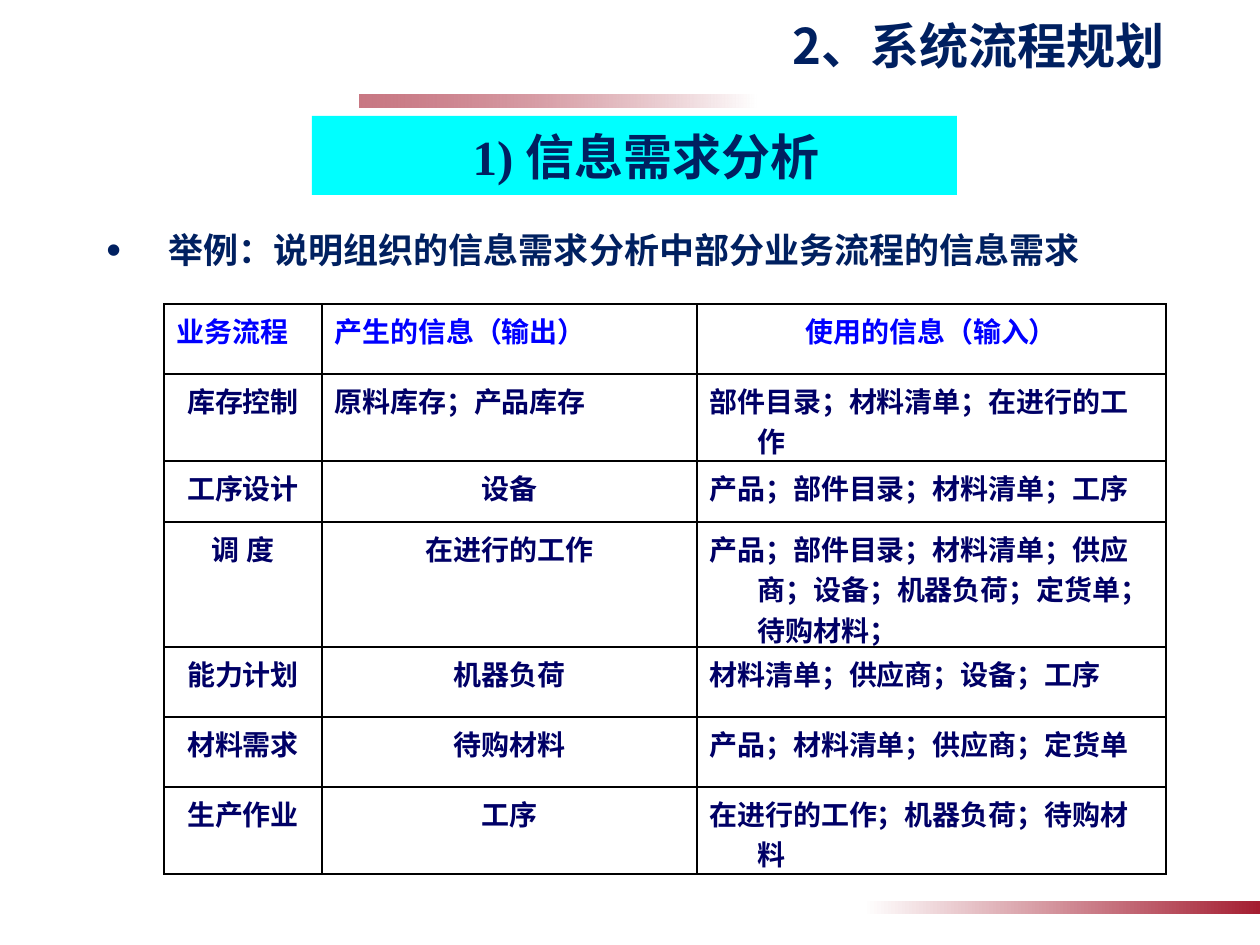
from lxml.etree import SubElement
from pptx import Presentation
from pptx.dml.color import RGBColor
from pptx.enum.shapes import MSO_SHAPE
from pptx.enum.text import MSO_ANCHOR, PP_ALIGN
from pptx.oxml.ns import qn
from pptx.util import Pt

SCALE = 914400 / 126
SANS = "Noto Sans CJK SC"
SERIF = "Times New Roman"
LEFT, CENTER, RIGHT = PP_ALIGN.LEFT, PP_ALIGN.CENTER, PP_ALIGN.RIGHT


def px(*lengths):
    return [round(length * SCALE) for length in lengths]


def write(frame, text, size, color, font, align, indent=0, bullet=None):
    frame.word_wrap = True
    paragraph = frame.paragraphs[0]
    paragraph.text = text
    paragraph.alignment = align
    properties = paragraph._p.get_or_add_pPr()
    properties.set("marL", str(px(indent)[0]))
    properties.set("indent", str(px(-indent)[0]))
    if bullet:
        SubElement(properties, qn("a:buSzPct"), val="120000")
        SubElement(properties, qn("a:buFont"), typeface="Arial")
        SubElement(properties, qn("a:buChar"), char=bullet)
    run = paragraph.runs[0]
    values = {"size": Pt(size), "bold": True, "name": font}
    for name, value in values.items():
        setattr(run.font, name, value)
    run.font.color.rgb = RGBColor.from_string(color)
    SubElement(run._r.get_or_add_rPr(), qn("a:ea"), typeface=SANS)
    return paragraph


presentation = Presentation()
presentation.slide_width, presentation.slide_height = px(1260, 945)
slide = presentation.slides.add_slide(presentation.slide_layouts[5])
shapes = slide.shapes

for left, top, rotation, alpha in [(359, 94, 180, 60), (863, 901, 0, 100)]:
    bar = shapes.add_shape(MSO_SHAPE.RECTANGLE, *px(left, top, 397, 13))
    bar.shadow.inherit = False
    bar.rotation = rotation
    bar.line.fill.background()
    bar.fill.gradient()
    bar.fill.gradient_angle = 0
    for stop, color in zip(bar.fill.gradient_stops, ["FFFFFF", "A41E31"]):
        stop.color.rgb = RGBColor.from_string(color)
    if alpha < 100:
        red = bar._element.spPr.findall(".//" + qn("a:srgbClr"))[-1]
        SubElement(red, qn("a:alpha"), val=str(alpha * 1000))

example = shapes.add_textbox(*px(94, 214, 1071, 79))
paragraph = write(example.text_frame, "举例：说明组织的信息需求分析中部分业务流程的信息需求",
                  20, "002060", SERIF, LEFT, 62, "•")
paragraph.line_spacing = 1.2

rows = [
    ["业务流程", "产生的信息（输出）", "使用的信息（输入）"],
    ["库存控制", "原料库存；产品库存", "部件目录；材料清单；在进行的工作"],
    ["工序设计", "设备", "产品；部件目录；材料清单；工序"],
    ["调 度", "在进行的工作", "产品；部件目录；材料清单；供应商；设备；机器负荷；定货单；待购材料；"],
    ["能力计划", "机器负荷", "材料清单；供应商；设备；工序"],
    ["材料需求", "待购材料", "产品；材料清单；供应商；定货单"],
    ["生产作业", "工序", "在进行的工作；机器负荷；待购材料"],
]
alignments = [[LEFT, LEFT, CENTER], [CENTER, LEFT, LEFT]] + [[CENTER, CENTER, LEFT]] * 5
widths = [158, 375, 469]
heights = [70, 87, 61, 125, 70, 70, 87]
table = shapes.add_table(7, 3, *px(164, 304, sum(widths), sum(heights))).table
table.first_row = table.horz_banding = False
for column, width in zip(table.columns, px(*widths)):
    column.width = width
for row, height in zip(table.rows, px(*heights)):
    row.height = height
for row_index, (texts, row_alignments) in enumerate(zip(rows, alignments)):
    for column_index, (text, align) in enumerate(zip(texts, row_alignments)):
        cell = table.cell(row_index, column_index)
        color = "000066" if row_index else "0000FF"
        write(cell.text_frame, text, 16, color, SANS, align, 48)
        properties = cell._tc.get_or_add_tcPr()
        for side in ["lnL", "lnR", "lnT", "lnB"]:
            border = SubElement(properties, qn("a:" + side), w=str(Pt(1)))
            SubElement(SubElement(border, qn("a:solidFill")), qn("a:srgbClr"), val="000000")
        cell.fill.solid()
        cell.fill.fore_color.rgb = RGBColor.from_string("FFFFFF")

banner = shapes.add_shape(MSO_SHAPE.RECTANGLE, *px(312, 116, 645, 79))
banner.shadow.inherit = False
banner.line.fill.background()
banner.fill.solid()
banner.fill.fore_color.rgb = RGBColor.from_string("00FFFF")
write(banner.text_frame, "1) 信息需求分析", 28, "002060", SERIF, CENTER)

title = shapes.title
title.left, title.top, title.width, title.height = px(0, 10, 1225, 94)
write(title.text_frame, "2、系统流程规划", 28, "002060", SANS, RIGHT)

frames = [
    (banner.text_frame, [36, 10, 13, 10], MSO_ANCHOR.MIDDLE),
    (title.text_frame, [248, 5, 61, 6], MSO_ANCHOR.TOP),
]
for frame, insets, anchor in frames:
    sides = ["margin_left", "margin_top", "margin_right", "margin_bottom"]
    for side, inset in zip(sides, px(*insets)):
        setattr(frame, side, inset)
    frame.vertical_anchor = anchor

presentation.save("out.pptx")
